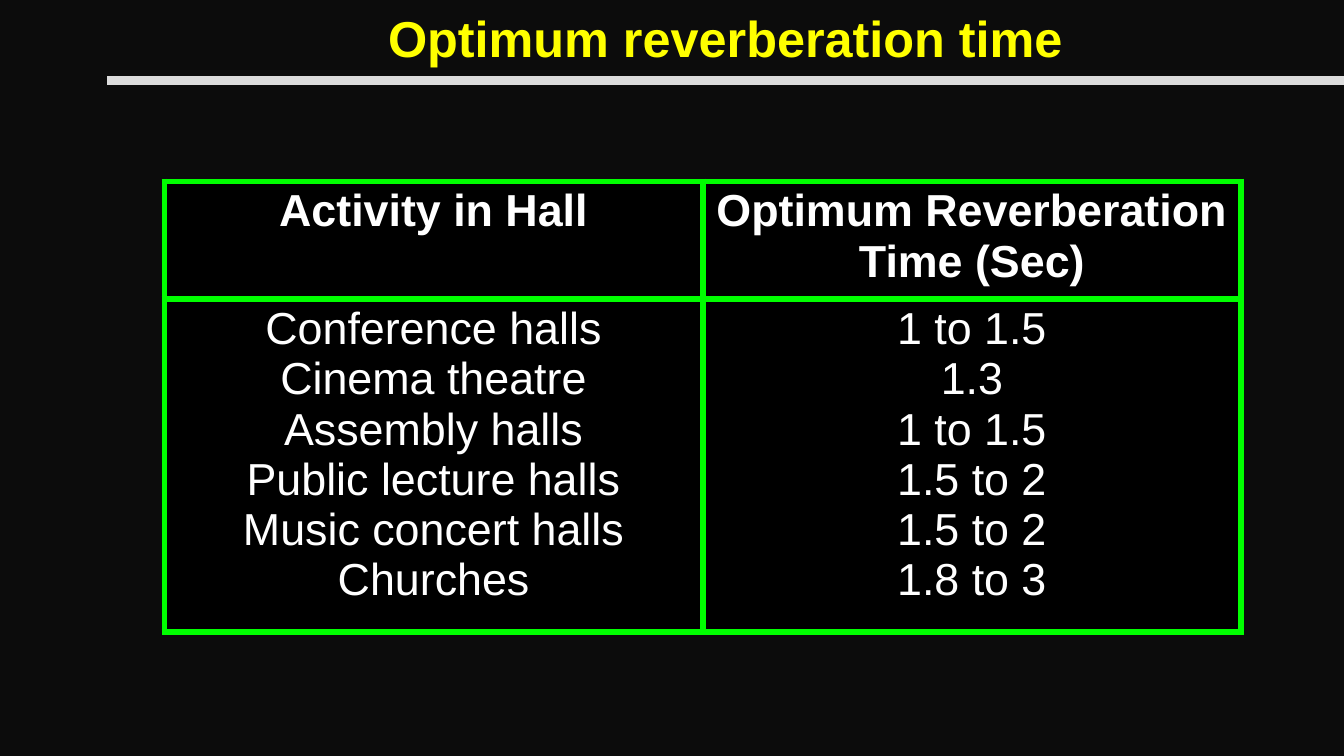
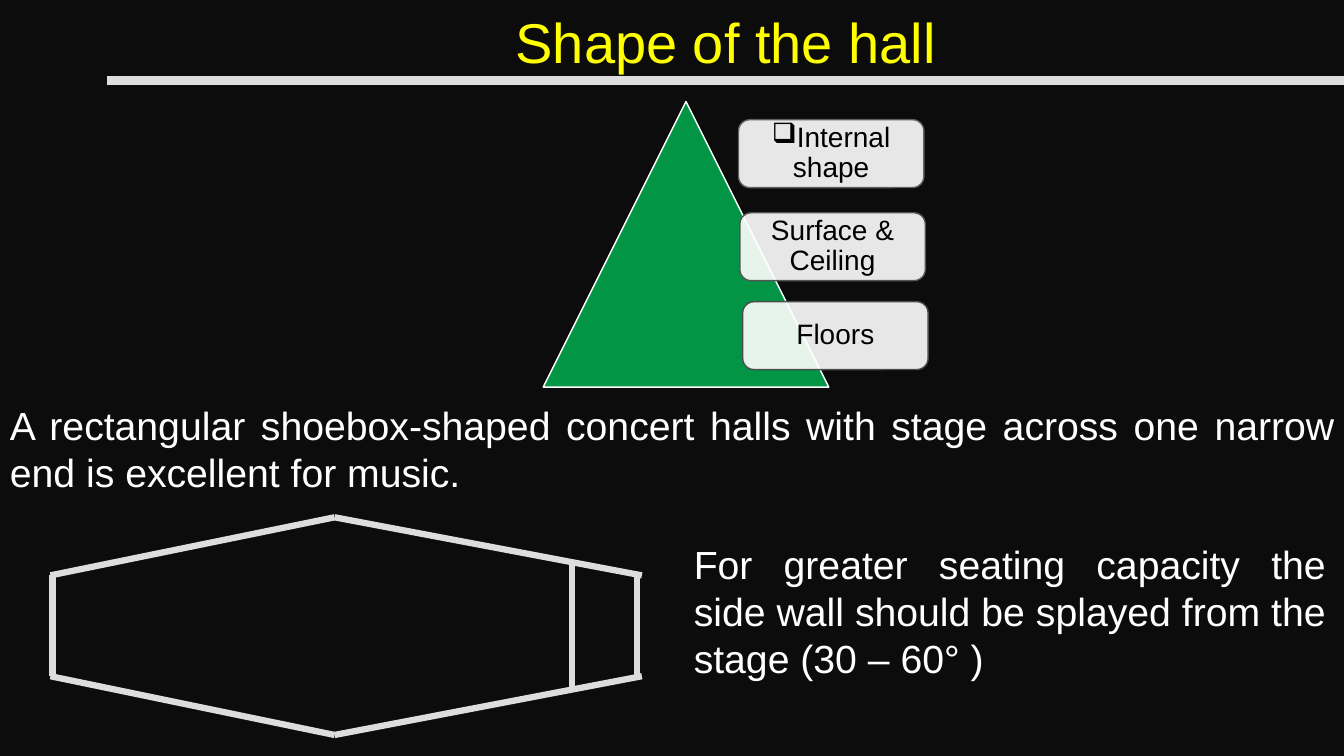
"""Build two slides on hall acoustics: reverberation times and hall shape."""
from lxml.etree import SubElement
from pptx import Presentation
from pptx.dml.color import RGBColor
from pptx.enum.shapes import MSO_CONNECTOR as CONN, MSO_SHAPE as SHAPE
from pptx.enum.text import MSO_ANCHOR as ANCHOR, PP_ALIGN as ALIGN
from pptx.oxml import parse_xml
from pptx.oxml.ns import nsdecls, qn
from pptx.util import Pt

FONT = "Arial"
BLACK, WHITE, YELLOW = "000000", "FFFFFF", "FFFF00"
GREY, GREEN, LIME, BACK = "DDDDDD", "00B050", "00FF00", "0C0C0C"
rgb = RGBColor.from_string


def write(tf, lines, size, color, align=ALIGN.CENTER, bold=False):
    tf.word_wrap = True
    for i, text in enumerate(lines):
        p = tf.paragraphs[0] if i == 0 else tf.add_paragraph()
        p.alignment = align
        r = p.add_run()
        r.text = text
        r.font.name, r.font.size, r.font.bold = FONT, Pt(size), bold
        r.font.color.rgb = rgb(color)


def draw_line(s, x1, y1, x2, y2, width):
    cn = s.shapes.add_connector(CONN.STRAIGHT, Pt(x1), Pt(y1), Pt(x2), Pt(y2))
    cn.line.color.rgb = rgb(GREY)
    cn.line.width = Pt(width)
    SubElement(cn._element.spPr, qn("a:effectLst"))


prs = Presentation()
prs.slide_width, prs.slide_height = Pt(960), Pt(540)
bg = prs.slide_master.background.fill
bg.solid()
bg.fore_color.rgb = rgb(BACK)

slides = []
for title, size, bold in [("Optimum reverberation time", 36, True),
                          ("Shape of the hall", 40, False)]:
    s = prs.slides.add_slide(prs.slide_layouts[6])
    tb = s.shapes.add_textbox(Pt(76.5), Pt(1.5), Pt(883.5), Pt(55))
    write(tb.text_frame, [title], size, YELLOW, bold=bold)
    draw_line(s, 76.5, 57.5, 960, 57.5, 6)
    slides.append(s)
times_slide, shape_slide = slides

rows = [
    (84, True, [["Activity in Hall"],
                ["Optimum Reverberation", "Time (Sec)"]]),
    (238, False, [["Conference halls", "Cinema theatre", "Assembly halls",
                   "Public lecture halls", "Music concert halls", "Churches"],
                  ["1 to 1.5", "1.3", "1 to 1.5",
                   "1.5 to 2", "1.5 to 2", "1.8 to 3"]]),
]
table = times_slide.shapes.add_table(
    2, 2, Pt(117.5), Pt(129.5), Pt(769), Pt(322)).table
for col in table.columns:
    col.width = Pt(384.5)
for i, (height, bold, cells) in enumerate(rows):
    table.rows[i].height = Pt(height)
    for j, lines in enumerate(cells):
        cell = table.cell(i, j)
        write(cell.text_frame, lines, 32, WHITE, bold=bold)
        cell.fill.solid()
        cell.fill.fore_color.rgb = rgb(BLACK)
        for k, side in enumerate("LRTB"):
            border = parse_xml(
                f'<a:ln{side} {nsdecls("a")} w="{Pt(4.5)}"><a:solidFill>'
                f'<a:srgbClr val="{LIME}"/></a:solidFill></a:ln{side}>')
            cell._tc.get_or_add_tcPr().insert(k, border)

pyramid = [
    (SHAPE.ISOSCELES_TRIANGLE, 388, 72.5, 204, 204, GREEN, 84, WHITE, ""),
    (SHAPE.ROUNDED_RECTANGLE, 527.5, 85.5, 132.5, 48.5, WHITE, 90, "5F5F5F", "Internal shape"),
    (SHAPE.ROUNDED_RECTANGLE, 528.5, 152, 132.5, 48.5, WHITE, 90, "555555", "Surface & Ceiling"),
    (SHAPE.ROUNDED_RECTANGLE, 530.5, 215.5, 132.5, 48.5, WHITE, 90, "4C4C4C", "Floors"),
]
for kind, x, y, w, h, fill, opacity, edge, label in pyramid:
    sp = shape_slide.shapes.add_shape(kind, Pt(x), Pt(y), Pt(w), Pt(h))
    sp.shadow.inherit = False
    sp.fill.solid()
    sp.fill.fore_color.rgb = rgb(fill)
    color = sp._element.spPr.find(qn("a:solidFill")).find(qn("a:srgbClr"))
    SubElement(color, qn("a:alpha"), val=str(opacity * 1000))
    sp.line.color.rgb = rgb(edge)
    sp.line.width = Pt(1)
    if not label:
        continue
    tf = sp.text_frame
    tf.margin_left = tf.margin_right = tf.margin_top = tf.margin_bottom = Pt(8)
    tf.vertical_anchor = ANCHOR.MIDDLE
    write(tf, [label], 20, BLACK)
    p = tf.paragraphs[0]
    p.line_spacing = 0.9
    if label == "Internal shape":
        pPr = p._p.get_or_add_pPr()
        pPr.set("marL", "0")
        pPr.set("indent", str(-Pt(10)))
        SubElement(SubElement(pPr, qn("a:buClr")), qn("a:srgbClr"), val=BLACK)
        SubElement(pPr, qn("a:buChar"), char="❑")

for x, y, w, h, text in [
    (0, 283, 960, 75, "A rectangular shoebox-shaped concert halls with stage "
     "across one narrow end is excellent for music."),
    (488.5, 382.5, 465.5, 109, "For greater seating capacity the side wall "
     "should be splayed from the stage (30 – 60° )"),
]:
    tb = shape_slide.shapes.add_textbox(Pt(x), Pt(y), Pt(w), Pt(h))
    write(tb.text_frame, [text], 28, WHITE, ALIGN.JUSTIFY)

for corner, peak in [(411, 369.5), (483, 525)]:
    draw_line(shape_slide, 36, corner, 239, peak, 4.5)
    draw_line(shape_slide, 239, peak, 458.5, corner, 4.5)
for x, top, bottom in [(37.5, 411, 483), (408.5, 400.5, 491), (455, 411, 483)]:
    draw_line(shape_slide, x, top, x, bottom, 4.5)

prs.save("out.pptx")
